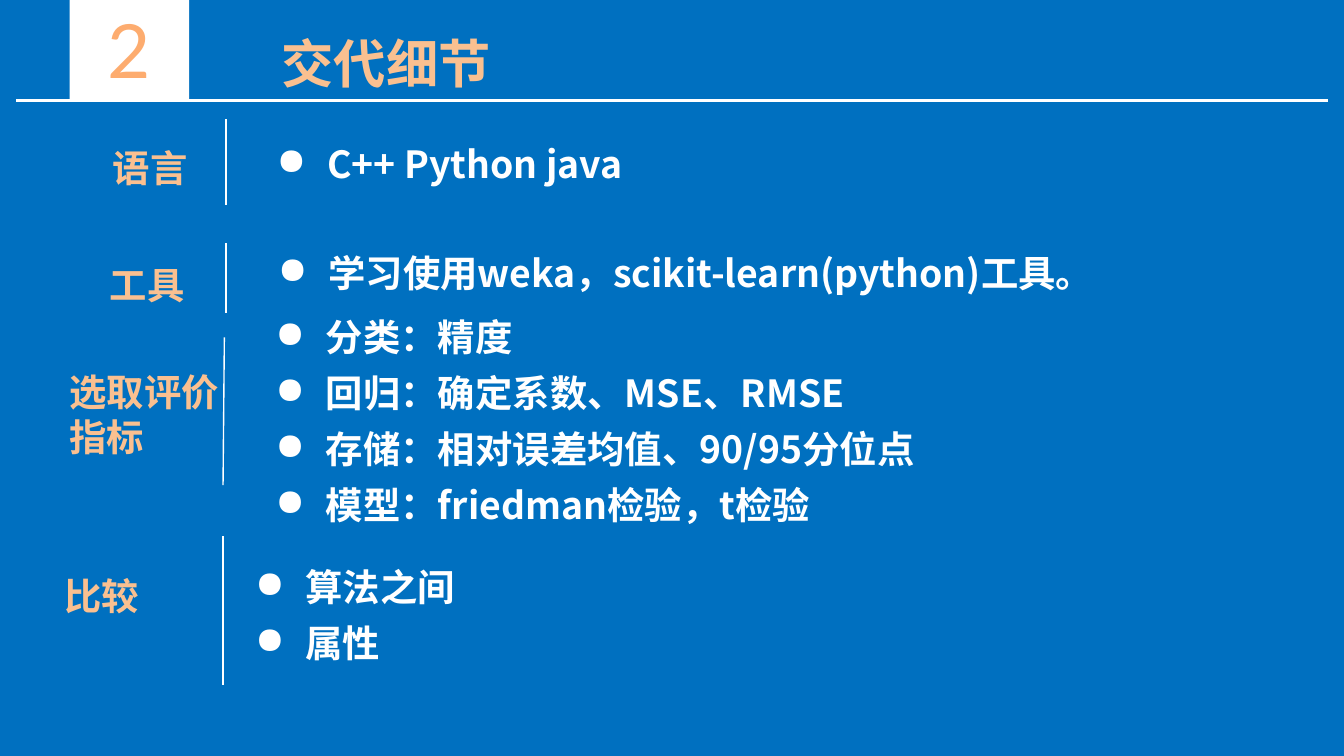
from dataclasses import dataclass

from lxml import etree
from pptx import Presentation
from pptx.dml.color import RGBColor
from pptx.enum.shapes import MSO_CONNECTOR, MSO_SHAPE
from pptx.enum.text import MSO_ANCHOR, MSO_AUTO_SIZE, PP_ALIGN
from pptx.oxml.ns import qn
from pptx.util import Pt

STRAIGHT = MSO_CONNECTOR.STRAIGHT
RECT = MSO_SHAPE.RECTANGLE
TOP, MIDDLE = MSO_ANCHOR.TOP, MSO_ANCHOR.MIDDLE
GROW = MSO_AUTO_SIZE.SHAPE_TO_FIT_TEXT
NO_FIT = MSO_AUTO_SIZE.NONE
LEFT, CENTER = PP_ALIGN.LEFT, PP_ALIGN.CENTER


@dataclass(frozen=True)
class Theme:
    blue: str = "0070C0"
    white: str = "FFFFFF"
    peach: str = "FAC090"
    orange: str = "FDAC6F"
    cjk: str = "Noto Sans CJK SC"
    latin: str = "Lato"
    body: float = 20
    title: float = 28
    number: float = 40
    indent: float = 27
    gap: float = 6


THEME = Theme()


def rgb(value):
    return RGBColor.from_string(value)


def add_bullet(p):
    p.space_after = Pt(THEME.gap)
    pPr = p._p.get_or_add_pPr()
    pPr.set("marL", str(Pt(THEME.indent)))
    pPr.set("indent", str(-Pt(THEME.indent)))
    color = etree.SubElement(pPr, qn("a:buClr"))
    etree.SubElement(color, qn("a:srgbClr"), val=THEME.white)
    etree.SubElement(pPr, qn("a:buChar"), char="●")


def write(tf, text, size=THEME.body, color=THEME.white, font=THEME.cjk,
          bold=True, align=LEFT, bullet=False, anchor=TOP, fit=GROW):
    tf.word_wrap = True
    tf.auto_size = fit
    tf.vertical_anchor = anchor
    for i, line in enumerate(text.split("\n")):
        p = tf.add_paragraph() if i else tf.paragraphs[0]
        p.alignment = align
        if bullet:
            add_bullet(p)
        r = p.add_run()
        r.text = line
        r.font.size = Pt(size)
        r.font.bold = bold
        r.font.color.rgb = rgb(color)
        r.font.name = font
        etree.SubElement(r._r.get_or_add_rPr(), qn("a:ea"), typeface=font)


def add_text(s, box, text, **fmt):
    sp = s.shapes.add_textbox(*map(Pt, box))
    write(sp.text_frame, text, **fmt)


def add_rule(s, x1, y1, x2, y2, width=0.75):
    line = s.shapes.add_connector(STRAIGHT, *map(Pt, (x1, y1, x2, y2)))
    line.line.color.rgb = rgb(THEME.white)
    line.line.width = Pt(width)
    etree.SubElement(line._element.spPr, qn("a:effectLst"))


def add_header(s, box, number, title):
    x, y, w, h = box
    add_text(s, (x + 130.3, y + 13, 136, 41), title,
             size=THEME.title, color=THEME.peach, align=CENTER)
    sp = s.shapes.add_shape(RECT, *map(Pt, (x + 28.8, y - 1.4, 64, h + 1.4)))
    sp.shadow.inherit = False
    sp.fill.solid()
    sp.fill.fore_color.rgb = rgb(THEME.white)
    sp.line.fill.background()
    write(sp.text_frame, number, size=THEME.number, color=THEME.orange,
          font=THEME.latin, bold=False, align=CENTER, anchor=MIDDLE, fit=NO_FIT)
    add_rule(s, x, y + h, x + w, y + h, width=1.5)


def add_section(s, box, label, label_box, items, items_at, align=LEFT, lean=0):
    x, y, w, h = box
    dx, dy, label_w, label_h = label_box
    add_text(s, (x + dx, y + dy, label_w, label_h), label,
             color=THEME.peach, align=align)
    dx, dy = items_at
    add_text(s, (x + dx, y + dy, w - dx, 30 * len(items) + 1.7),
             "\n".join(items), bullet=True)
    add_rule(s, x, y, x - lean, y + h)


def main():
    prs = Presentation()
    prs.slide_width, prs.slide_height = Pt(720), Pt(405)
    s = prs.slides.add_slide(prs.slide_layouts[6])
    s.background.fill.solid()
    s.background.fill.fore_color.rgb = rgb(THEME.blue)

    add_header(s, (8.6, 0, 702.8, 54), "2", "交代细节")
    add_section(s, (121, 64, 581, 46), "语言", (-67.7, 10.2, 62, 31.7),
                ["C++ Python java"], (20.1, 8))
    add_section(s, (121, 130.3, 556.5, 37.5), "工具", (-83.6, 6.5, 82.8, 31.7),
                ["学习使用weka，scikit-learn(python)工具。"], (20.8, 0),
                align=CENTER)
    add_section(s, (120.2, 180.7, 607.7, 79.2), "选取评价指标",
                (-90, 13.7, 94.3, 55.4),
                ["分类：精度", "回归：确定系数、MSE、RMSE",
                 "存储：相对误差均值、90/95分位点", "模型：friedman检验，t检验"],
                (20.2, -15.8), lean=0.7)
    add_section(s, (119.5, 287.3, 615.6, 79.9), "比较", (-92.1, 16.5, 81.4, 31.7),
                ["算法之间", "属性"], (10.1, 11.5))
    prs.save("out.pptx")


if __name__ == "__main__":
    main()
